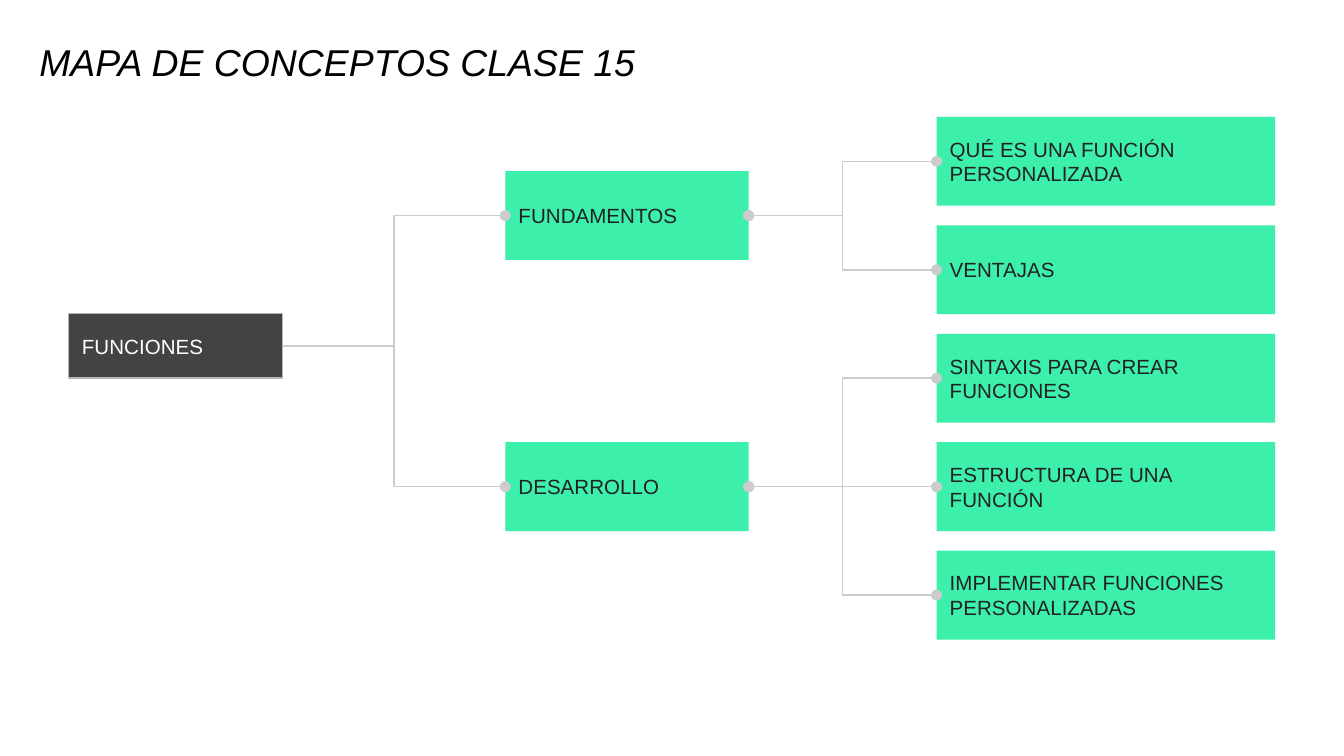
"""Build the concept map of class 15 as one slide."""
import pptx
import pptx.dml.color
import pptx.enum.shapes
import pptx.enum.text
import pptx.util
from lxml import etree
from pptx.oxml.ns import qn

Cm, Pt = pptx.util.Cm, pptx.util.Pt
Anchor = pptx.enum.text.MSO_ANCHOR
Left = pptx.enum.text.PP_ALIGN.LEFT

TITLE = "MAPA DE CONCEPTOS CLASE 15"
ROOT = "FUNCIONES"
TOPICS = [
    ("FUNDAMENTOS", ["QUÉ ES UNA FUNCIÓN PERSONALIZADA", "VENTAJAS"]),
    ("DESARROLLO", ["SINTAXIS PARA CREAR FUNCIONES", "ESTRUCTURA DE UNA FUNCIÓN",
                    "IMPLEMENTAR FUNCIONES PERSONALIZADAS"]),
]
ROOT_COL = dict(x=1.3, w=4.04, h=1.22, fill="434343", ink="FFFFFF", edge="B7B7B7")
TOPIC_COL = dict(x=9.55, w=4.6, h=1.68, fill="3CEFAB", ink="222222")
LEAF_COL = dict(TOPIC_COL, x=17.7, w=6.4)
ROOT_MID, LEAF_MID, STEP = 6.54, 3.05, 2.05
LEFT_SITE, RIGHT_SITE = 1, 3


def color(code):
    return pptx.dml.color.RGBColor.from_string(code)


def style(frame, size, ink, anchor, italic=False):
    frame.word_wrap = True
    frame.auto_size = pptx.enum.text.MSO_AUTO_SIZE.NONE
    frame.vertical_anchor = anchor
    for para in frame.paragraphs:
        para.alignment = Left
        for run in para.runs:
            run.font.name, run.font.size = "Arial", Pt(size)
            run.font.italic = italic
            run.font.color.rgb = color(ink)


def add_box(slide, text, mid, x, w, h, fill, ink, edge=None):
    box = slide.shapes.add_shape(pptx.enum.shapes.MSO_SHAPE.RECTANGLE,
                                 Cm(x), Cm(mid - h / 2), Cm(w), Cm(h))
    box.shadow.inherit = False
    box.fill.solid()
    box.fill.fore_color.rgb = color(fill)
    if edge:
        box.line.color.rgb = color(edge)
        box.line.width = Pt(0.75)
    else:
        box.line.fill.background()
    box.text_frame.text = text
    style(box.text_frame, 11, ink, Anchor.MIDDLE)
    return box


def add_link(slide, start, end, dots):
    link = slide.shapes.add_connector(pptx.enum.shapes.MSO_CONNECTOR.ELBOW, 0, 0, 0, 0)
    link.begin_connect(start, RIGHT_SITE)
    link.end_connect(end, LEFT_SITE)
    link.line.color.rgb = color("CCCCCC")
    link.line.width = Pt(0.75)
    props = link._element.spPr
    for dot in dots:
        etree.SubElement(props.find(qn("a:ln")), qn("a:" + dot), type="oval")
    etree.SubElement(props, qn("a:effectLst"))


def main():
    deck = pptx.Presentation()
    deck.slide_width, deck.slide_height = Cm(25.4), Cm(14.29)
    slide = deck.slides.add_slide(deck.slide_layouts[5])

    title = slide.shapes.title
    title.left, title.top, title.width, title.height = Cm(0.49), Cm(0.56), Cm(20.98), Cm(1.17)
    title.text_frame.text = TITLE
    style(title.text_frame, 20, "000000", Anchor.BOTTOM, italic=True)
    title.text_frame.paragraphs[0].line_spacing = 0.9

    root = add_box(slide, ROOT, ROOT_MID, **ROOT_COL)
    links, row = [], 0
    for topic, leaves in TOPICS:
        mids = [LEAF_MID + STEP * (row + i) for i in range(len(leaves))]
        row += len(leaves)
        node = add_box(slide, topic, sum(mids) / len(mids), **TOPIC_COL)
        links.append((root, node, ["tailEnd"]))
        for leaf, mid in zip(leaves, mids):
            links.append((node, add_box(slide, leaf, mid, **LEAF_COL), ["headEnd", "tailEnd"]))
    for link in links:
        add_link(slide, *link)

    deck.save("out.pptx")


if __name__ == "__main__":
    main()
